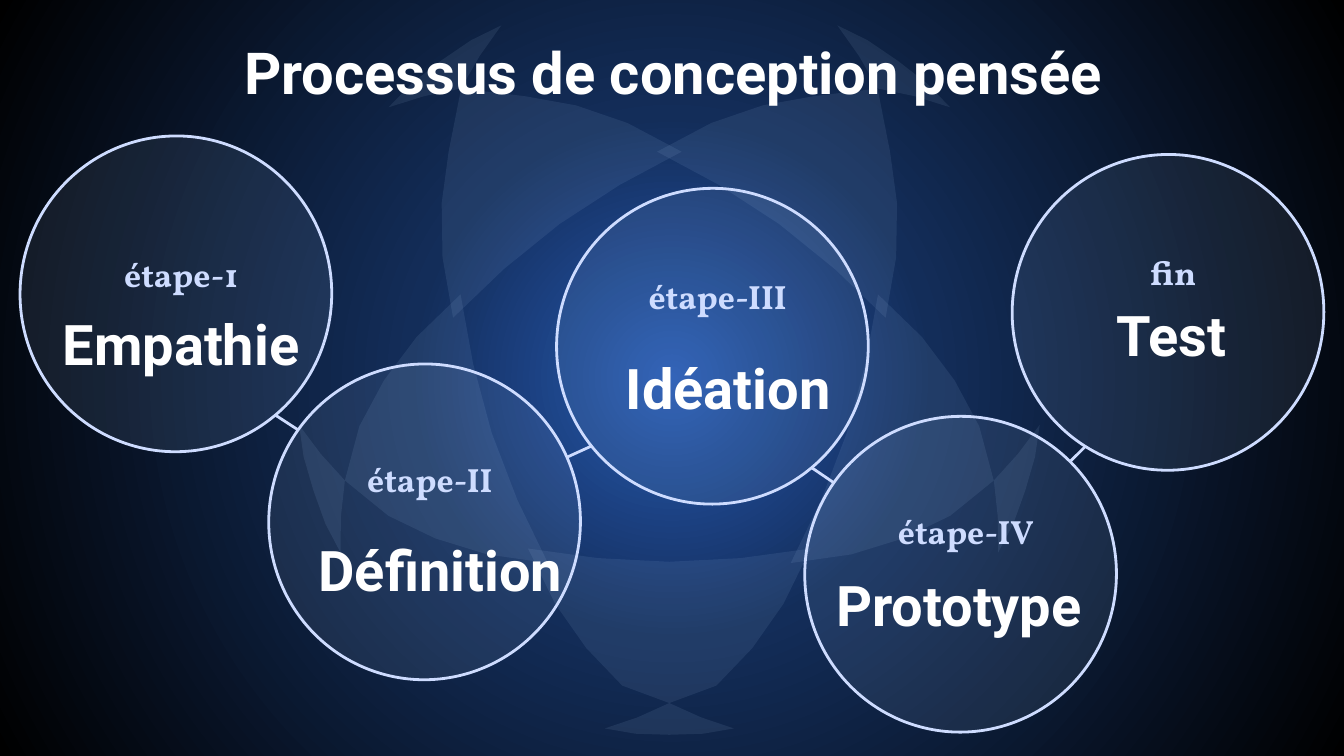
from math import cos, pi, sin

from lxml import etree
from pptx import Presentation
from pptx.dml.color import RGBColor
from pptx.enum import shapes, text
from pptx.oxml.ns import qn
from pptx.util import Cm, Pt

PALE, LINE, WHITE = "B8D9FF", "CEDCFF", "FFFFFF"


def tint(fill, color, alpha=None):
    fill.solid()
    fill.fore_color.rgb = RGBColor.from_string(color)
    if alpha:
        clr = fill._xPr.find(qn("a:solidFill"))[0]
        etree.SubElement(clr, qn("a:alpha"), val=str(alpha * 1000))


def write(box, words, font, size, color, anchor):
    frame = box.text_frame
    frame.text = words
    frame.word_wrap = True
    frame.auto_size = text.MSO_AUTO_SIZE.NONE
    frame.vertical_anchor = anchor
    frame.margin_left = frame.margin_right = Cm(0.25)
    frame.margin_top = frame.margin_bottom = Cm(0.25)
    para = frame.paragraphs[0]
    para.alignment = text.PP_ALIGN.CENTER
    run = para.runs[0].font
    run.name, run.size, run.bold = font, Pt(size), True
    tint(run.fill, color)


deck = Presentation()
deck.slide_width, deck.slide_height = Cm(25.4), Cm(14.29)
slide = deck.slides.add_slide(deck.slide_layouts[5])
parts = slide.shapes

# Background: radial gradient from the centre
back = slide.background.fill
back.gradient()
grad = slide.background._cSld.find(".//" + qn("a:gradFill"))
for node in list(grad):
    grad.remove(node)
stops = etree.SubElement(grad, qn("a:gsLst"))
for pos, color in [(0, "2659B1"), (34, "132D59"), (100, "000000")]:
    stop = etree.SubElement(stops, qn("a:gs"), pos=str(pos * 1000))
    etree.SubElement(stop, qn("a:srgbClr"), val=color)
way = etree.SubElement(grad, qn("a:path"), path="circle")
etree.SubElement(way, qn("a:fillToRect"), **dict.fromkeys("ltrb", "50000"))

# Faint flower: half a petal and half a tip, mirrored and turned five times
mid_x, mid_y = Cm(12.65), Cm(7.09)
petal = [(0, 3.53), (1.35, 3.46), (2.67, 3.28), (2.16, 4.32), (1.57, 5.16), (0.89, 5.87), (0, 6.2)]
tip = [(0, 6.2), (0.6, 6.47), (1.22, 6.68), (0.64, 6.78), (0, 6.8)]
for turn, grow in enumerate([1, 1.04, 1.08, 1.08, 1.04]):
    angle = turn * 2 * pi / 5
    for half in (petal, tip):
        ring = half + [(-x, y) for x, y in half[-2:0:-1]]
        spots = []
        for x, y in ring:
            size = Cm(grow if y > 6 else 1)
            spots.append((mid_x + size * (x * cos(angle) - y * sin(angle)),
                          mid_y + size * (x * sin(angle) + y * cos(angle))))
        path = parts.build_freeform(*spots[0])
        path.add_line_segments(spots[1:], close=True)
        leaf = path.convert_to_shape()
        leaf.shadow.inherit = False
        leaf.line.fill.background()
        tint(leaf.fill, PALE, 9)

# Steps: circle left and top, label top, name left and top
steps = [
    ("étape-1", "Empathie", 0.38, 2.57, 4.5, 0.46, 5.38),
    ("étape-II", "Définition", 5.08, 6.88, 8.36, 5.36, 9.66),
    ("étape-III", "Idéation", 10.52, 3.56, 4.9, 10.8, 6.21),
    ("étape-IV", "Prototype", 15.21, 7.87, 9.35, 15.16, 10.31),
    ("fin", "Test", 19.13, 2.92, 4.45, 19.18, 5.21),
]
for label, name, left, top, high, side, low in steps:
    disc = parts.add_shape(shapes.MSO_SHAPE.OVAL, Cm(left), Cm(top), Cm(5.89), Cm(5.97))
    disc.rotation = 5.6
    disc.shadow.inherit = False
    tint(disc.fill, PALE, 9)
    tint(disc.line.fill, LINE)
    disc.line.width = Pt(1.5)
    box = parts.add_textbox(Cm(left + 0.08), Cm(high), Cm(5.93), Cm(1.32))
    write(box, label, "Vollkorn", 18, LINE, text.MSO_ANCHOR.BOTTOM)
    box = parts.add_textbox(Cm(side), Cm(low), Cm(5.93), Cm(2.21))
    write(box, name, "Roboto", 30, WHITE, text.MSO_ANCHOR.MIDDLE)

# Links between neighbouring circles
links = [
    (5.21, 7.85, 5.64, 8.13),
    (10.72, 8.64, 11.18, 8.43),
    (15.34, 8.84, 15.75, 9.12),
    (20.24, 8.71, 20.52, 8.43),
]
for ends in links:
    link = parts.add_connector(shapes.MSO_CONNECTOR.STRAIGHT, *map(Cm, ends))
    tint(link.line.fill, LINE)
    link.line.width = Pt(1.5)
    etree.SubElement(link._element.spPr, qn("a:effectLst"))

# Title, brought to the front
title = parts.title
title.left, title.top, title.width, title.height = map(Cm, (2.01, 0.38, 21.41, 1.93))
write(title, "Processus de conception pensée", "Roboto", 31, WHITE, text.MSO_ANCHOR.MIDDLE)
parts._spTree.append(title._element)

deck.save("out.pptx")
